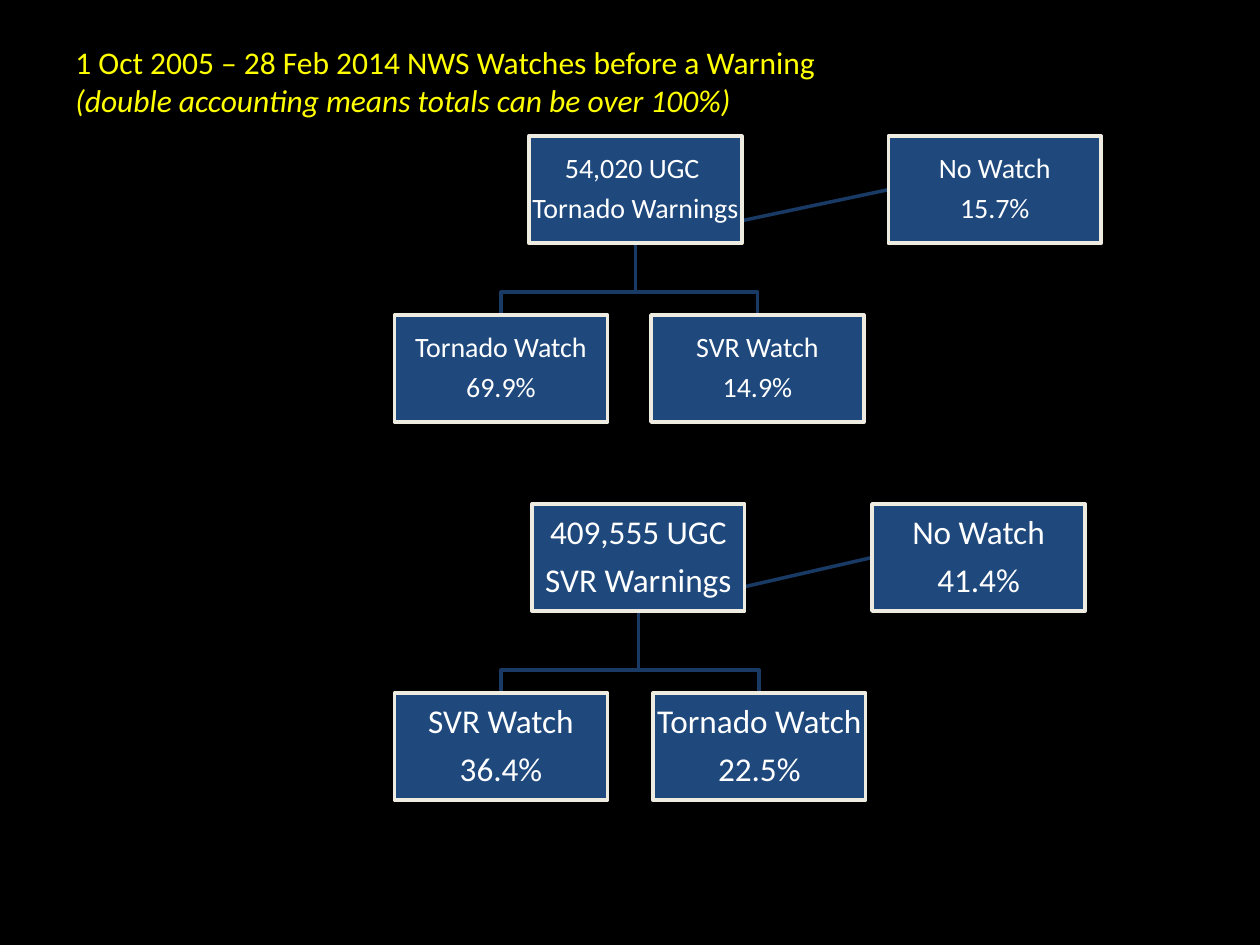
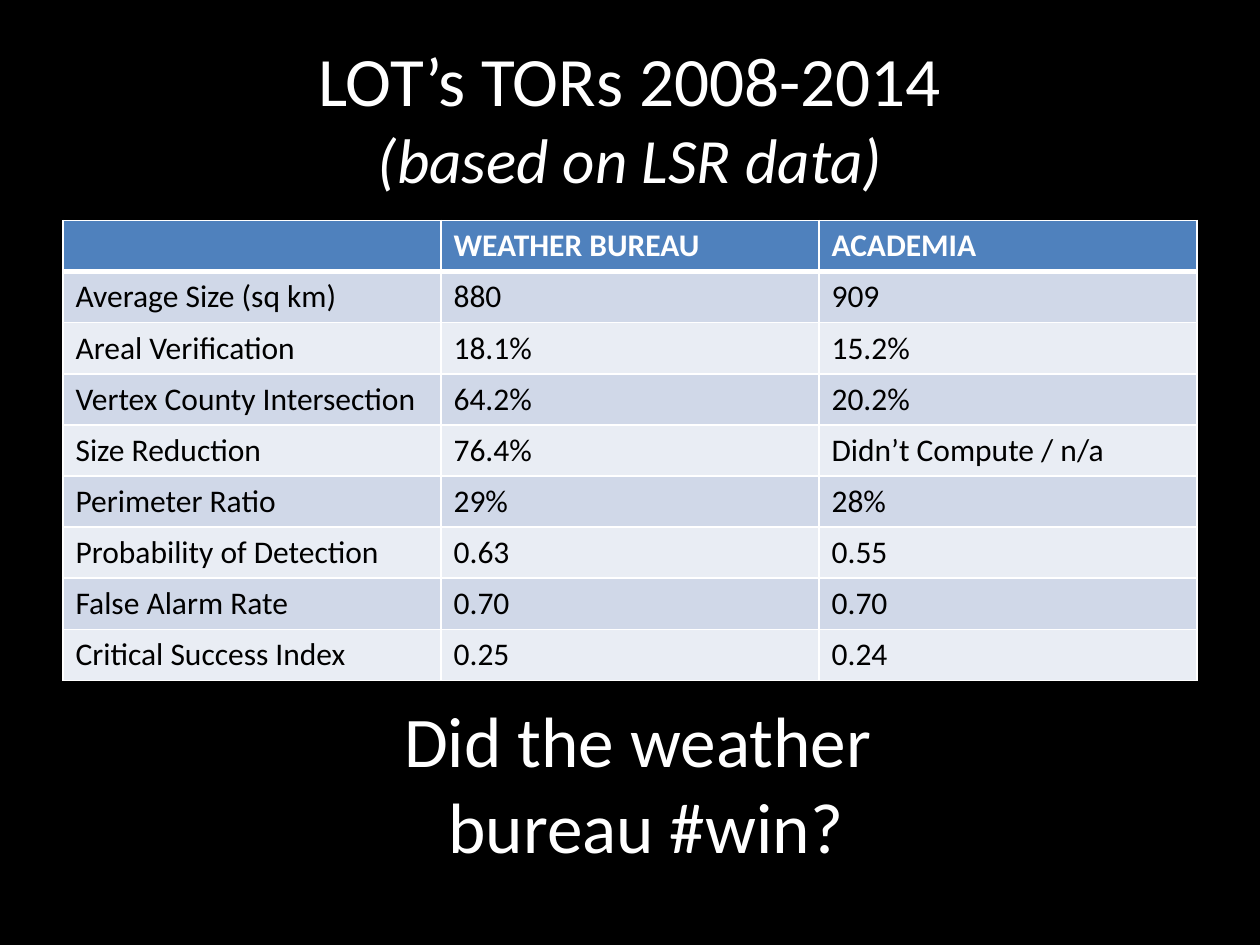
from lxml import etree
from pptx import Presentation
from pptx import util as u
from pptx.dml.color import RGBColor
from pptx.enum import shapes, text
from pptx.oxml.ns import qn

Pt = u.Pt
FONT = "Calibri"
COLORS = {
    "background": "000000",
    "white": "FFFFFF",
    "black": "000000",
    "heading": "FFFF00",
    "box": "1F497D",
    "box_line": "EEECE1",
    "link": "193A64",
    "header": "4F81BD",
    "band_dark": "D0D8E8",
    "band_light": "E9EDF4",
}
BOX_W, BOX_H = 121.7, 61.2
LINK_DROP = 13
CENTER = text.PP_ALIGN.CENTER


def rgb(name):
    return RGBColor.from_string(COLORS[name])


def write(tf, lines, size=18, color="white", bold=False, italics=(), sizes=None,
          align=None, spacing=None, after=None, soft=False):
    p = tf.paragraphs[0]
    for i, line in enumerate(lines):
        if i and soft:
            p.add_line_break()
        elif i:
            p = tf.add_paragraph()
        p.alignment = align
        p.line_spacing = spacing
        if after is not None:
            p.space_after = Pt(after)
        r = p.add_run()
        r.text = line
        r.font.name = FONT
        r.font.size = Pt(sizes[i] if sizes else size)
        r.font.bold = bold
        r.font.italic = i in italics
        r.font.color.rgb = rgb(color)


def new_slide(prs):
    s = prs.slides.add_slide(prs.slide_layouts[6])
    s.background.fill.solid()
    s.background.fill.fore_color.rgb = rgb("background")
    return s


def add_text(s, x, y, w, h, lines, wrap=True, anchor=text.MSO_ANCHOR.MIDDLE, **fmt):
    tf = s.shapes.add_textbox(Pt(x), Pt(y), Pt(w), Pt(h)).text_frame
    tf.word_wrap = wrap
    tf.vertical_anchor = anchor
    write(tf, lines, **fmt)


def style_line(line, color):
    line.color.rgb = rgb(color)
    line.width = Pt(2)


def add_box(s, x, y, lines, size):
    sp = s.shapes.add_shape(shapes.MSO_SHAPE.RECTANGLE, Pt(x), Pt(y), Pt(BOX_W), Pt(BOX_H))
    sp.shadow.inherit = False
    sp.fill.solid()
    sp.fill.fore_color.rgb = rgb("box")
    style_line(sp.line, "box_line")
    tf = sp.text_frame
    tf.word_wrap = True
    tf.vertical_anchor = text.MSO_ANCHOR.MIDDLE
    tf.margin_left = tf.margin_right = tf.margin_top = tf.margin_bottom = Pt(0.8)
    write(tf, lines, size=size, align=CENTER, spacing=0.9, after=0.35 * size)
    return sp


def add_branch(s, x1, y1, x2, y2):
    bend = y2 - LINK_DROP
    builder = s.shapes.build_freeform(Pt(x1), Pt(y1))
    builder.add_line_segments([(Pt(x), Pt(y)) for x, y in ((x1, bend), (x2, bend), (x2, y2))],
                              close=False)
    sp = builder.convert_to_shape()
    sp.shadow.inherit = False
    sp.fill.background()
    style_line(sp.line, "link")


def warning_tree(s, x, y, root, watches, no_watch, root_dx, none_dx, watch_dx, watch_dy, size):
    link = s.shapes.add_connector(shapes.MSO_CONNECTOR.STRAIGHT, 0, 0, 0, 0)
    style_line(link.line, "link")
    etree.SubElement(link._element.spPr, qn("a:effectLst"))
    root_x = x + root_dx
    for i in reversed(range(len(watches))):
        add_branch(s, root_x + BOX_W / 2, y + BOX_H,
                   x + i * watch_dx + BOX_W / 2, y + watch_dy)
    root_box = add_box(s, root_x, y, root, size)
    for i, watch in enumerate(watches):
        add_box(s, x + i * watch_dx, y + watch_dy, watch, size)
    none_box = add_box(s, x + none_dx, y, ("No Watch", no_watch), size)
    link.begin_connect(root_box, 2)
    link.end_connect(none_box, 1)


def style_cell(cell, fill, bottom):
    cell.fill.solid()
    cell.fill.fore_color.rgb = rgb(fill)
    tcPr = cell._tc.get_or_add_tcPr()
    for i, (side, width) in enumerate((("L", 1), ("R", 1), ("T", 1), ("B", bottom))):
        ln = etree.Element(qn("a:ln" + side), w=str(Pt(width)))
        solid = etree.SubElement(ln, qn("a:solidFill"))
        etree.SubElement(solid, qn("a:srgbClr"), val=COLORS["white"])
        tcPr.insert(i, ln)


def score_table(s, x, y, w, row_h, rows):
    cols = len(rows[0])
    table = s.shapes.add_table(len(rows), cols, Pt(x), Pt(y), Pt(w), Pt(row_h * len(rows))).table
    for col in table.columns:
        col.width = Pt(w / cols)
    for i, row in enumerate(rows):
        table.rows[i].height = Pt(row_h)
        head = i == 0
        fill = "header" if head else "band_dark" if i % 2 else "band_light"
        for j, value in enumerate(row):
            cell = table.cell(i, j)
            style_cell(cell, fill, 3 if head else 1)
            if value:
                write(cell.text_frame, [value], color="white" if head else "black", bold=head)


def watches_slide(prs):
    s = new_slide(prs)
    warning_tree(s, 225.4, 77.8, ("54,020 UGC ", "Tornado Warnings"),
                 (("Tornado Watch", "69.9%"), ("SVR Watch", "14.9%")), "15.7%",
                 root_dx=76.8, none_dx=282.2, watch_dx=146.6, watch_dy=102.2, size=16)
    warning_tree(s, 225.4, 288, ("409,555 UGC", "SVR Warnings"),
                 (("SVR Watch", "36.4%"), ("Tornado Watch", "22.5%")), "41.4%",
                 root_dx=78.5, none_dx=272.9, watch_dx=147.6, watch_dy=108, size=19)
    add_text(s, 36, 21, 442, 51,
             ("1 Oct 2005 – 28 Feb 2014 NWS Watches before a Warning",
              "(double accounting means totals can be over 100%)"),
             wrap=False, anchor=text.MSO_ANCHOR.TOP, color="heading", italics=(1,))


def scores_slide(prs):
    s = new_slide(prs)
    add_text(s, 36, 21.6, 648, 90, ("LOT’s TORs 2008-2014", "(based on LSR data)"),
             sizes=(39.6, 36), italics=(1,), align=CENTER, soft=True)
    score_table(s, 36, 126, 648, 29.2, (
        ("", "WEATHER BUREAU", "ACADEMIA"),
        ("Average Size (sq km)", "880", "909"),
        ("Areal Verification", "18.1%", "15.2%"),
        ("Vertex County Intersection", "64.2%", "20.2%"),
        ("Size Reduction", "76.4%", "Didn’t Compute / n/a"),
        ("Perimeter Ratio", "29%", "28%"),
        ("Probability of Detection", "0.63", "0.55"),
        ("False Alarm Rate", "0.70", "0.70"),
        ("Critical Success Index", "0.25", "0.24"),
    ))
    add_text(s, 45, 401.8, 648, 90, ("Did the weather ", "bureau #win?"),
             size=40.7, align=CENTER)


def main():
    prs = Presentation()
    prs.slide_width, prs.slide_height = Pt(720), Pt(540)
    watches_slide(prs)
    scores_slide(prs)
    prs.save("out.pptx")


if __name__ == "__main__":
    main()
